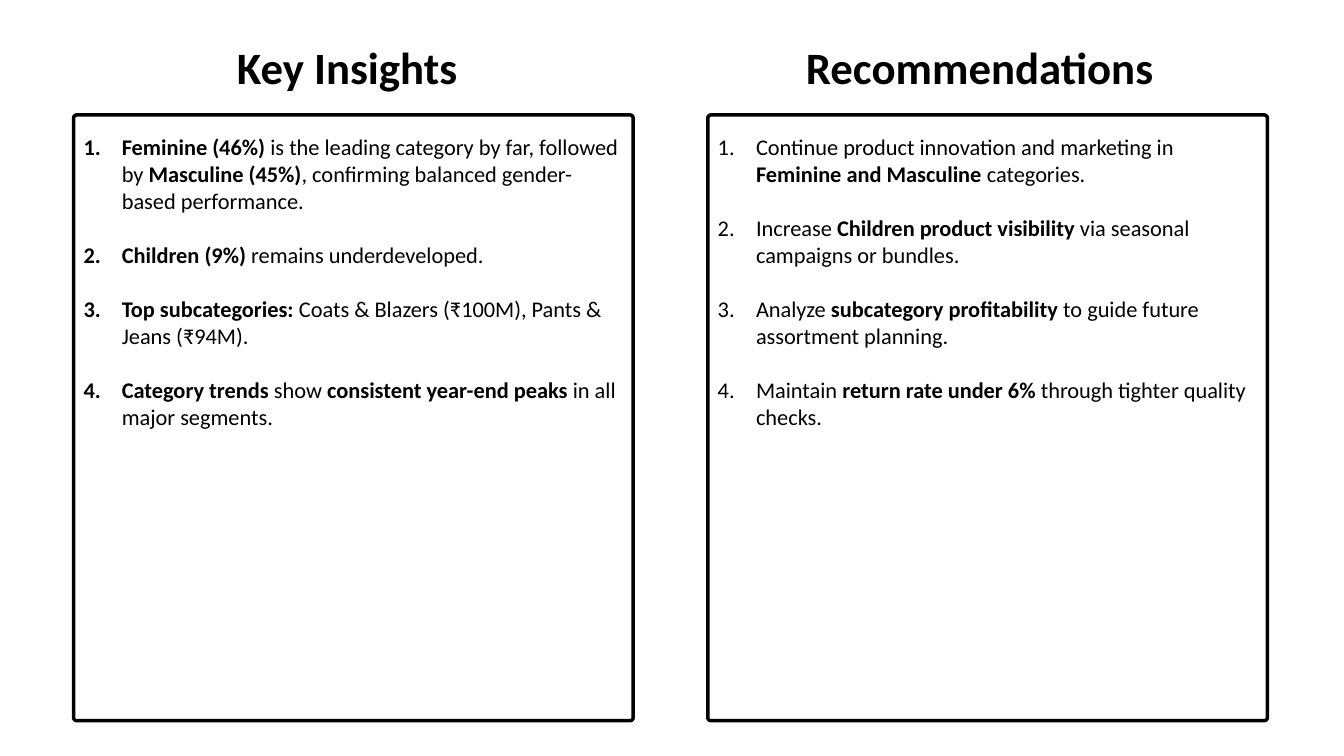
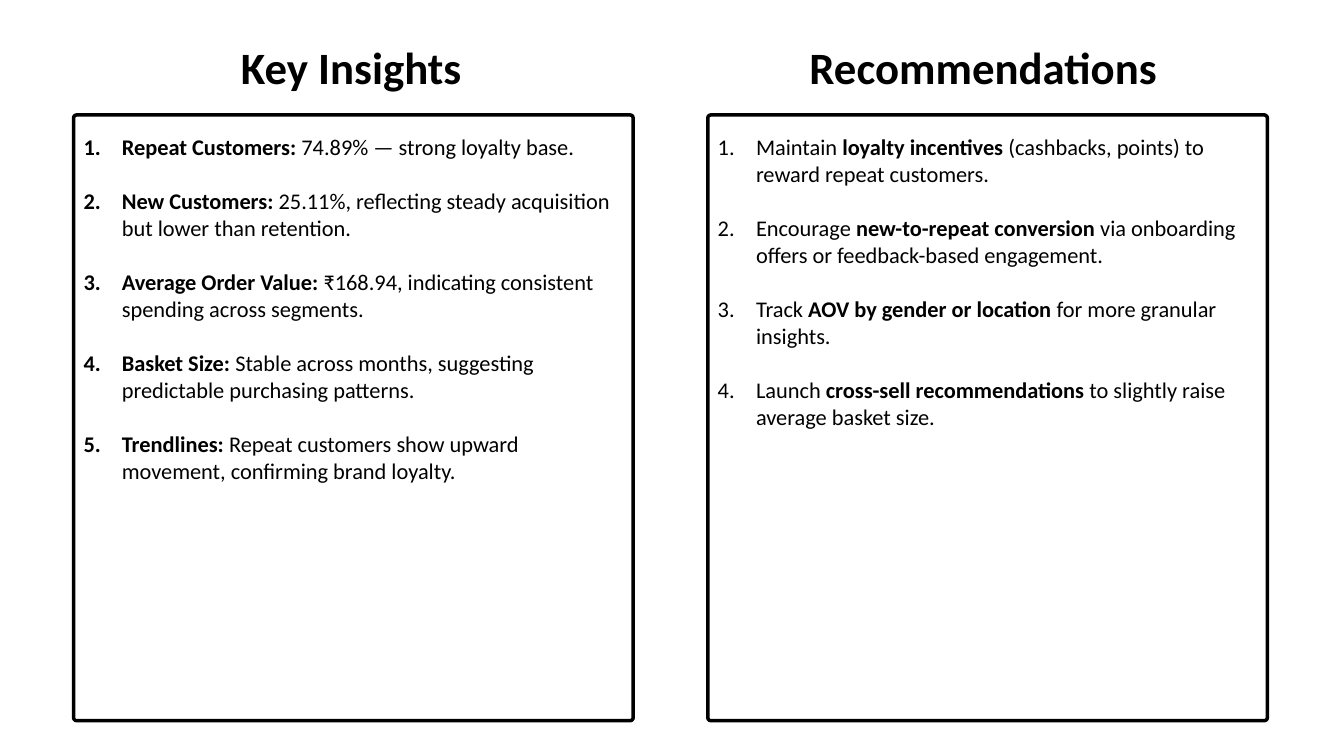
from collections import namedtuple

from lxml.etree import SubElement
from pptx import Presentation
from pptx.dml.color import RGBColor
from pptx.enum.shapes import MSO_SHAPE
from pptx.enum.text import MSO_ANCHOR, MSO_AUTO_SIZE, PP_ALIGN
from pptx.oxml.ns import qn
from pptx.util import Inches, Pt

Box = namedtuple("Box", "left top width height")

INK = "000000"
FONT = "Calibri"
HEADING_SIZE, BODY_SIZE = 32, 16
ITEM_GAP = 19.5
INDENT = 0.38
CORNER, FRAME_LINE = 0.03, 2.5
HEADING_TOP, HEADING_HEIGHT = 0.34, 0.64
LIST_OFFSET, LIST_HEIGHT = 0.13, 3.06
COLUMN_STEP = 6.29
LEFT_COLUMN = Box(0.73, 1.14, 5.55, 6.01)
COLUMNS = [LEFT_COLUMN, LEFT_COLUMN._replace(left=LEFT_COLUMN.left + COLUMN_STEP)]
HEADINGS = ["Key Insights", "Recommendations"]

SLIDES = [
    {
        "heading_widths": [2.51, 3.8],
        "lists": [
            [
                "*Feminine (46%)* is the leading category by far, followed by "
                "*Masculine (45%)*, confirming balanced gender-based performance.",
                "*Children (9%)* remains underdeveloped.",
                "*Top subcategories:* Coats & Blazers (₹100M), Pants & Jeans (₹94M).",
                "*Category trends *show *consistent year-end peaks* in all major segments.",
            ],
            [
                "Continue product innovation and marketing in "
                "*Feminine and Masculine* categories.",
                "Increase *Children product visibility* via seasonal campaigns or bundles.",
                "Analyze *subcategory profitability* to guide future assortment planning.",
                "Maintain *return rate under 6%* through tighter quality checks.",
            ],
        ],
    },
    {
        "heading_widths": [2.43, 3.73],
        "lists": [
            [
                "*Repeat Customers:* 74.89% — strong loyalty base.",
                "*New Customers:* 25.11%, reflecting steady acquisition "
                "but lower than retention.",
                "*Average Order Value:* ₹168.94, indicating consistent "
                "spending across segments.",
                "*Basket Size:* Stable across months, suggesting "
                "predictable purchasing patterns.",
                "*Trendlines:* Repeat customers show upward movement, "
                "confirming brand loyalty.",
            ],
            [
                "Maintain *loyalty incentives* (cashbacks, points) "
                "to reward repeat customers.",
                "Encourage *new-to-repeat conversion* via onboarding offers "
                "or feedback-based engagement.",
                "Track *AOV by gender or location* for more granular insights.",
                "Launch *cross-sell recommendations* to slightly raise average basket size.",
            ],
        ],
    },
]


def color(value):
    """Turn a hex string into a colour."""
    return RGBColor.from_string(value)


def inches(box):
    """Return the four lengths of a box in slide units."""
    return [Inches(length) for length in box]


def style_span(span, size, bold):
    """Apply the shared typeface and colour to a run."""
    span.font.name = FONT
    span.font.size = Pt(size)
    span.font.bold = bold
    span.font.color.rgb = color(INK)


def set_frame(frame):
    """Give a text frame the shared wrapping, anchor and insets."""
    frame.auto_size = MSO_AUTO_SIZE.NONE
    frame.word_wrap = True
    frame.vertical_anchor = MSO_ANCHOR.TOP
    frame.margin_left = frame.margin_right = Inches(0.1)
    frame.margin_top = frame.margin_bottom = Inches(0.05)


def add_heading(shape, text, column, width):
    """Place a heading shape centred above its column."""
    left = column.left + (column.width - width) / 2
    box = Box(left, HEADING_TOP, width, HEADING_HEIGHT)
    shape.left, shape.top, shape.width, shape.height = inches(box)
    set_frame(shape.text_frame)
    shape.text_frame.text = text
    para = shape.text_frame.paragraphs[0]
    para.alignment = PP_ALIGN.LEFT
    style_span(para.runs[0], HEADING_SIZE, True)


def add_border(page, column):
    """Draw the rounded outline of a column."""
    border = page.shapes.add_shape(MSO_SHAPE.ROUNDED_RECTANGLE, *inches(column))
    border.adjustments[0] = CORNER / column.width
    border.shadow.inherit = False
    border.fill.background()
    border.line.color.rgb = color(INK)
    border.line.width = Pt(FRAME_LINE)


def number_paragraph(para):
    """Give a paragraph a hanging automatic number."""
    props = para._p.get_or_add_pPr()
    props.set("marL", str(Inches(INDENT)))
    props.set("indent", str(-Inches(INDENT)))
    SubElement(SubElement(props, qn("a:buClr")), qn("a:srgbClr"), val=INK)
    SubElement(props, qn("a:buFont"), typeface=FONT)
    SubElement(props, qn("a:buAutoNum"), type="arabicPeriod")


def add_list(page, items, column):
    """Write a numbered list in a column, with starred parts in bold."""
    box = column._replace(top=column.top + LIST_OFFSET, height=LIST_HEIGHT)
    frame = page.shapes.add_textbox(*inches(box)).text_frame
    set_frame(frame)
    for index, item in enumerate(items):
        para = frame.add_paragraph() if index else frame.paragraphs[0]
        para.space_after = Pt(ITEM_GAP)
        number_paragraph(para)
        for position, part in enumerate(item.split("*")):
            if part:
                span = para.add_run()
                span.text = part
                style_span(span, BODY_SIZE, position % 2 == 1)


def add_findings_slide(deck, heading_widths, lists):
    """Build one slide with insights on the left and recommendations on the right."""
    page = deck.slides.add_slide(deck.slide_layouts[5])
    second_heading = page.shapes.add_textbox(0, 0, 0, 0)
    heading_shapes = [page.shapes.title, second_heading]
    for shape, text, column, width, items in zip(
        heading_shapes, HEADINGS, COLUMNS, heading_widths, lists
    ):
        add_heading(shape, text, column, width)
        add_border(page, column)
        add_list(page, items, column)


def main():
    """Build and save the deck."""
    deck = Presentation()
    deck.slide_width, deck.slide_height = Inches(13.33), Inches(7.5)
    for content in SLIDES:
        add_findings_slide(deck, **content)
    deck.save("out.pptx")


if __name__ == "__main__":
    main()
